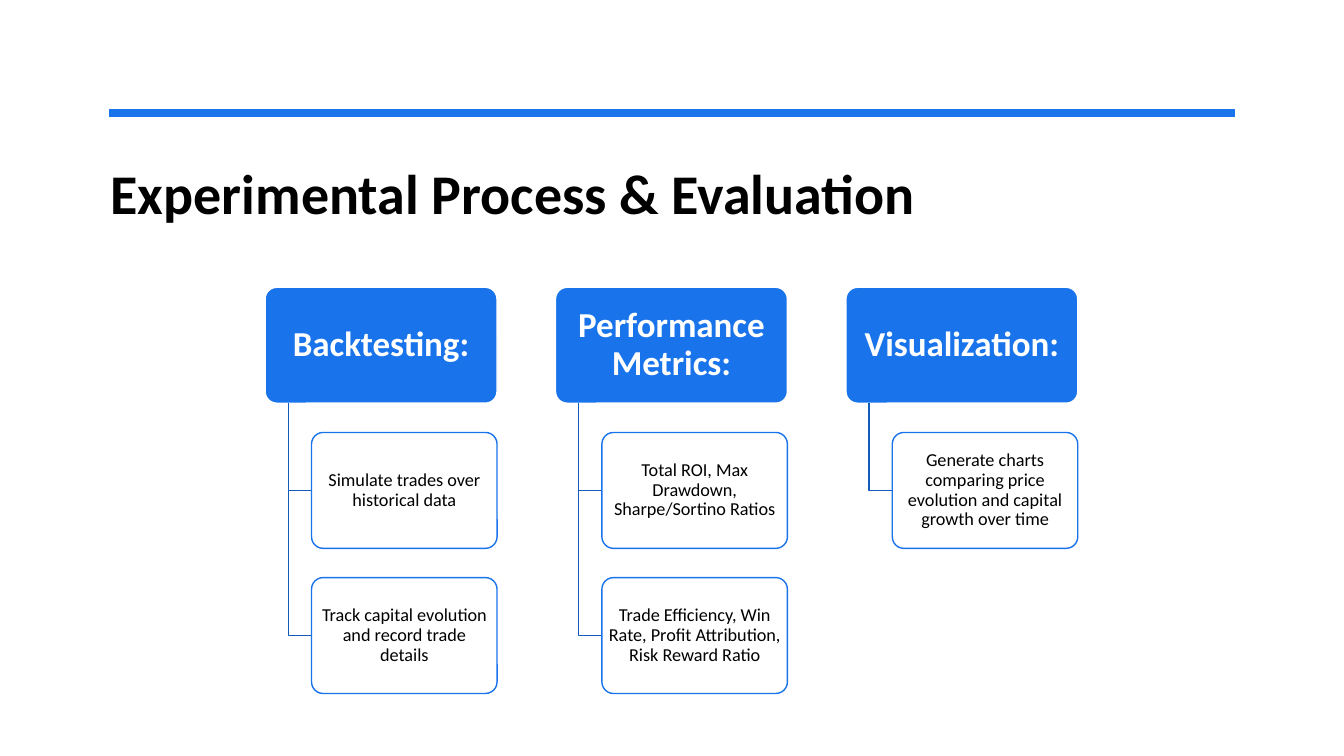
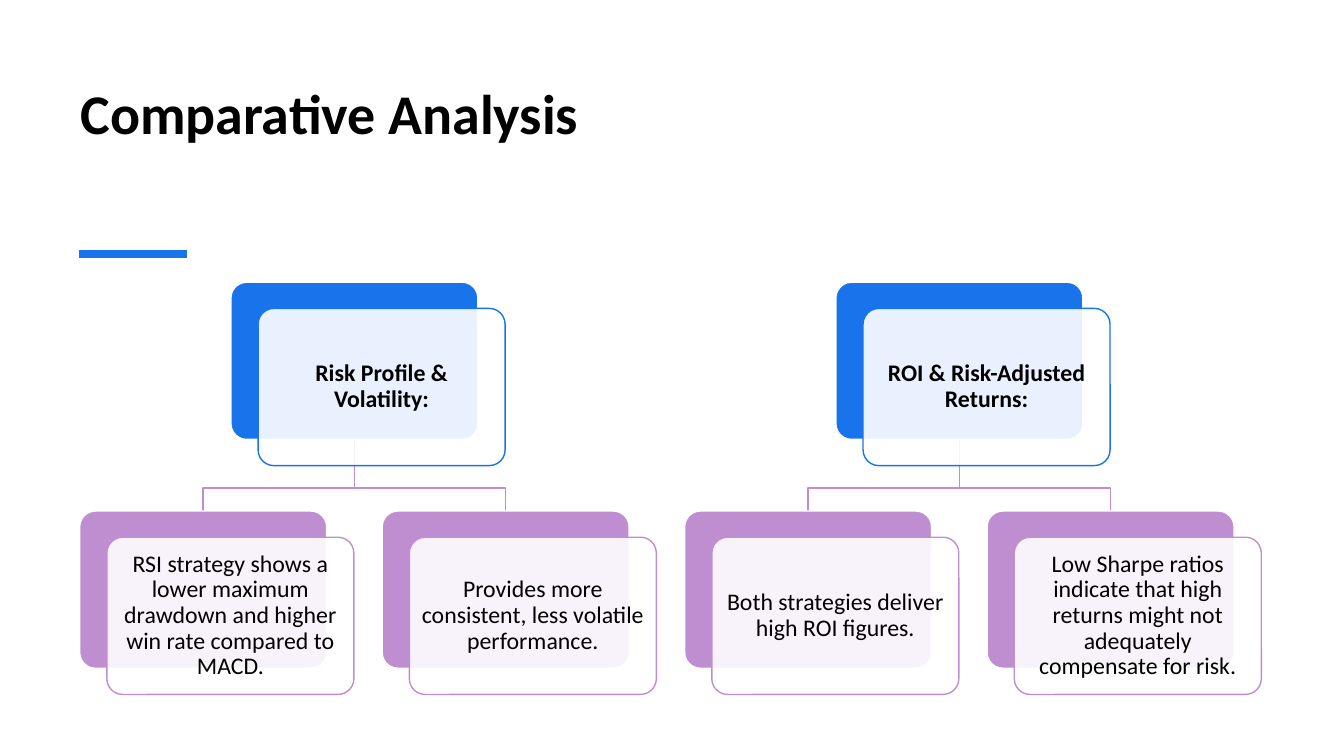
from lxml import etree
from pptx import Presentation
from pptx.dml import color
from pptx.enum import shapes, text
from pptx.oxml import ns
from pptx import util as u

COLORS = {"blue": "1973EB", "navy": "145CBC", "purple": "BF8ED1", "white": "FFFFFF", "black": "000000"}
RGB = {name: color.RGBColor.from_string(value) for name, value in COLORS.items()}
FRAME = {"word_wrap": True, "vertical_anchor": text.MSO_ANCHOR.MIDDLE}
TITLE = {"name": "Calibri", "size": u.Pt(40), "bold": True}


def add_box(s, left, top, width, height, fill, line, label="", size=13, bold=False, ink="black", inset=0.03):
    sp = s.shapes.add_shape(shapes.MSO_SHAPE.ROUNDED_RECTANGLE,
                            u.Inches(left), u.Inches(top), u.Inches(width), u.Inches(height))
    sp.adjustments[0] = 0.1
    sp.shadow.inherit = False
    sp.fill.solid()
    sp.fill.fore_color.rgb = RGB[fill]
    if fill == "white":
        rgb = sp.fill._xPr.find(ns.qn("a:solidFill")).find(ns.qn("a:srgbClr"))
        etree.SubElement(rgb, ns.qn("a:alpha"), val="90000")
    sp.line.color.rgb = RGB[line]
    sp.line.width = u.Pt(1)
    if label:
        tf = sp.text_frame
        margins = {f"margin_{side}": u.Inches(inset) for side in ("left", "right", "top", "bottom")}
        for key, value in {**FRAME, **margins}.items():
            setattr(tf, key, value)
        p = tf.paragraphs[0]
        p.alignment = text.PP_ALIGN.CENTER
        p.line_spacing = 0.9
        r = p.add_run()
        r.text = label
        for key, value in {"name": "Calibri", "size": u.Pt(size), "bold": bold}.items():
            setattr(r.font, key, value)
        r.font.color.rgb = RGB[ink]


def add_branch(s, points, line):
    start, *rest = [(u.Inches(x), u.Inches(y)) for x, y in points]
    builder = s.shapes.build_freeform(*start)
    builder.add_line_segments(rest, close=False)
    sp = builder.convert_to_shape()
    sp.shadow.inherit = False
    sp.fill.background()
    sp.line.color.rgb = RGB[line]
    sp.line.width = u.Pt(1)


prs = Presentation()
prs.slide_width, prs.slide_height = u.Inches(13.33), u.Inches(7.5)

slides = []
for title, left, top, rule_left, rule_right, rule_y in [
    ("Experimental Process & Evaluation", 1, 1.52, 1.08, 12.25, 1.12),
    ("Comparative Analysis", 0.7, 0.73, 0.78, 1.85, 2.52),
]:
    s = prs.slides.add_slide(prs.slide_layouts[6])
    slides.append(s)
    tf = s.shapes.add_textbox(u.Inches(left), u.Inches(top), u.Inches(11.33), u.Inches(0.8)).text_frame
    tf.word_wrap = True
    r = tf.paragraphs[0].add_run()
    r.text = title
    for key, value in TITLE.items():
        setattr(r.font, key, value)
    r.font.color.rgb = RGB["black"]
    rule = s.shapes.add_connector(shapes.MSO_CONNECTOR.STRAIGHT, u.Inches(rule_left), u.Inches(rule_y),
                                  u.Inches(rule_right), u.Inches(rule_y))
    rule.line.color.rgb = RGB["blue"]
    rule.line.width = u.Pt(6)
    etree.SubElement(rule._element.spPr, ns.qn("a:effectLst"))

process, analysis = slides

steps = [
    ("Backtesting:", ["Simulate trades over historical data",
                      "Track capital evolution and record trade details"]),
    ("Performance Metrics:", ["Total ROI, Max Drawdown, Sharpe/Sortino Ratios",
                              "Trade Efficiency, Win Rate, Profit Attribution, Risk Reward Ratio"]),
    ("Visualization:", ["Generate charts comparing price evolution and capital growth over time"]),
]
head_w, box_h, indent, row_gap = 2.3, 1.15, 0.46, 1.44
for col, (head, details) in enumerate(steps):
    left, top = 2.63 + 2.88 * col, 2.85
    add_box(process, left, top, head_w, box_h, "blue", "white", head, 25, True, "white", 0.05)
    for row, detail in enumerate(details, 1):
        y = top + row * row_gap
        middle = y + box_h / 2
        trunk = left + indent / 2
        add_branch(process, [(trunk, top + box_h), (trunk, middle), (left + indent, middle)], "navy")
        add_box(process, left + indent, y, head_w - indent, box_h, "white", "blue", detail)

topics = [
    ("Risk Profile & Volatility:", ["RSI strategy shows a lower maximum drawdown and higher win rate compared to MACD.",
                                    "Provides more consistent, less volatile performance."]),
    ("ROI & Risk-Adjusted Returns:", ["Both strategies deliver high ROI figures.",
                                      "Low Sharpe ratios indicate that high returns might not adequately "
                                      "compensate for risk."]),
]
card_w, card_h, pitch = 2.45, 1.56, 3
topic_y, finding_y, fork_y = 2.8, 5.07, 4.84
cards = []
for i, (topic, findings) in enumerate(topics):
    first = 0.79 + 2 * pitch * i
    parent = first + pitch / 2
    cards.append((parent, topic_y, "blue", topic, True))
    stem = parent + card_w / 2
    for j, finding in enumerate(findings):
        left = first + pitch * j
        cards.append((left, finding_y, "purple", finding, False))
        end = left + card_w / 2
        add_branch(analysis, [(stem, topic_y + card_h), (stem, fork_y), (end, fork_y), (end, finding_y)], "purple")

for left, top, tone, label, bold in cards:
    add_box(analysis, left, top, card_w, card_h, tone, "white")
    add_box(analysis, left + 0.27, top + 0.26, card_w, card_h, "white", tone, label, 17, bold, inset=0.07)

prs.save("out.pptx")
